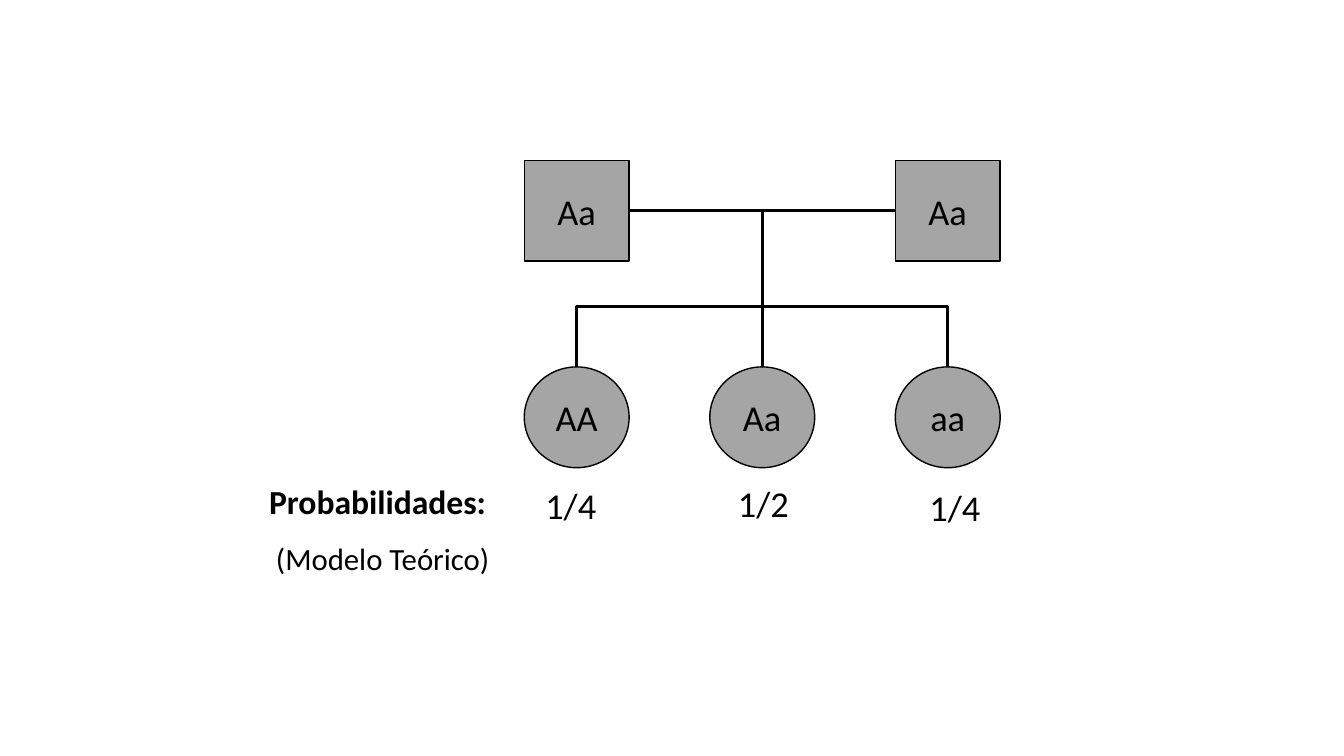
"""Draw the pedigree of an Aa x Aa cross with its theoretical probabilities."""
from pptx import Presentation
from pptx import util as u
from pptx.dml.color import RGBColor
from pptx.enum import shapes, text
from pptx.oxml.ns import qn
from lxml import etree


def color(hex_value):
    return RGBColor.from_string(hex_value)


def write(paragraph, content, size=26, bold=False, ink="000000", face="Calibri",
          align=text.PP_ALIGN.LEFT, before=0):
    paragraph.alignment = align
    paragraph.space_before = u.Pt(before)
    run = paragraph.add_run()
    run.text = content
    run.font.name = face
    run.font.size = u.Pt(size)
    run.font.bold = bold
    run.font.color.rgb = color(ink)


class Pedigree:
    ink = "000000"
    gray = "A5A5A5"
    width, height = 1.04, 1

    def __init__(self, slide):
        self.slide = slide

    def member(self, kind, center, top, genotype):
        person = self.slide.shapes.add_shape(
            kind, u.Inches(center - self.width / 2), u.Inches(top),
            u.Inches(self.width), u.Inches(self.height))
        person.shadow.inherit = False
        person.fill.solid()
        person.fill.fore_color.rgb = color(self.gray)
        person.line.color.rgb = color(self.ink)
        person.line.width = u.Pt(1)
        person.text_frame.vertical_anchor = text.MSO_ANCHOR.MIDDLE
        write(person.text_frame.paragraphs[0], genotype, align=text.PP_ALIGN.CENTER)

    def link(self, x1, y1, x2, y2):
        bond = self.slide.shapes.add_connector(
            shapes.MSO_CONNECTOR.STRAIGHT, *map(u.Inches, (x1, y1, x2, y2)))
        bond.line.color.rgb = color(self.ink)
        bond.line.width = u.Pt(2)
        etree.SubElement(bond._element.spPr, qn("a:effectLst"))

    def bracket(self, left, right, top, bottom):
        builder = self.slide.shapes.build_freeform(
            u.Inches(right), u.Inches(bottom))
        corners = [(right, top), (left, top), (left, bottom)]
        builder.add_line_segments(
            [(u.Inches(x), u.Inches(y)) for x, y in corners], close=False)
        siblings = builder.convert_to_shape()
        siblings.shadow.inherit = False
        siblings.fill.background()
        siblings.line.color.rgb = color(self.ink)
        siblings.line.width = u.Pt(2)

    def label(self, left, top, width, height):
        caption = self.slide.shapes.add_textbox(
            *map(u.Inches, (left, top, width, height)))
        caption.text_frame.word_wrap = True
        return caption.text_frame


def main():
    deck = Presentation()
    deck.slide_width, deck.slide_height = u.Inches(13.33), u.Inches(7.5)
    pedigree = Pedigree(deck.slides.add_slide(deck.slide_layouts[6]))

    middle, step = 7.56, 1.84
    columns = [middle - step, middle, middle + step]
    parent_top, child_top = 1.59, 3.64
    mating = parent_top + pedigree.height / 2
    half = pedigree.width / 2

    pedigree.link(columns[0] + half, mating, columns[2] - half, mating)
    for center in columns[::2]:
        pedigree.member(shapes.MSO_SHAPE.RECTANGLE, center, parent_top, "Aa")
    for center, genotype in zip(columns, ["AA", "Aa", "aa"]):
        pedigree.member(shapes.MSO_SHAPE.OVAL, center, child_top, genotype)
    pedigree.bracket(columns[0], columns[2], 3.04, child_top)
    pedigree.link(middle, child_top, middle, mating)

    heading = pedigree.label(2.57, 4.72, 7.95, 1.11)
    write(heading.paragraphs[0], "Probabilidades:", size=24, bold=True)
    write(heading.add_paragraph(), " (Modelo Teórico)", size=22, before=13.3)

    odds = [(5.31, 4.74, "1/4"), (7.22, 4.72, "1/2"), (9.12, 4.76, "1/4")]
    for left, top, probability in odds:
        write(pedigree.label(left, top, 0.79, 0.54).paragraphs[0], probability)

    deck.save("out.pptx")


if __name__ == "__main__":
    main()
